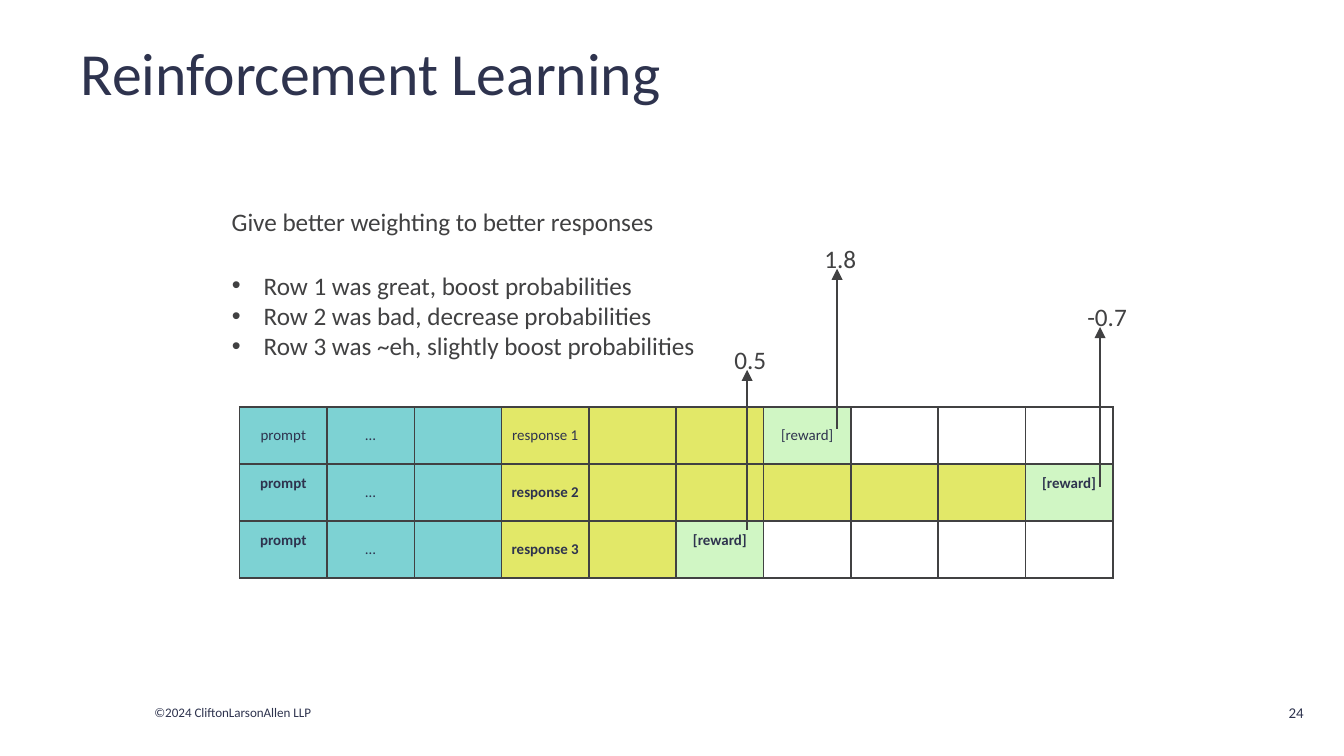
import pptx
import pptx.dml.color
import pptx.enum.dml
import pptx.enum.shapes
import pptx.enum.text
import pptx.oxml
import pptx.oxml.ns
import pptx.util

Cm = pptx.util.Cm
Pt = pptx.util.Pt
ALIGN = pptx.enum.text.PP_ALIGN
ANCHOR = pptx.enum.text.MSO_ANCHOR

FONT = "Calibri"
COLOURS = {
    "navy": "2E334E",
    "grey": "414142",
    "prompt": "7DD2D3",
    "response": "E2E868",
    "reward": "D0F6C4",
}
COLUMNS = 10
COLUMN_WIDTH, ROW_HEIGHT = 1.65, 1.08
PROMPT_CELLS = 3
ARROW_LENGTH = 3.02

# Number of response cells in each row, and whether its labels are bold
ROWS = [(3, False), (6, True), (2, True)]
# Score, arrow x, arrow tip y, label width
SCORES = [("0.5", 14.12, 6.99, 1.12), ("1.8", 15.82, 5.08, 1.12), ("-0.7", 20.79, 6.18, 1.27)]
ADVICE = [
    "Row 1 was great, boost probabilities",
    "Row 2 was bad, decrease probabilities",
    "Row 3 was ~eh, slightly boost probabilities",
]


def rgb(name):
    return pptx.dml.color.RGBColor.from_string(COLOURS[name])


def add_xml(parent, tag, **attributes):
    element = pptx.oxml.parse_xml(f"<a:{tag} {pptx.oxml.ns.nsdecls('a')}/>")
    for name, value in attributes.items():
        element.set(name, str(value))
    parent.append(element)
    return element


def write(frame, *lines, size=13.5, colour="grey", bold=False, align=ALIGN.LEFT,
          anchor=ANCHOR.TOP, wrap=False, bullet=None):
    """Fill a text frame with one paragraph per line, all in one format."""
    frame.word_wrap = wrap
    frame.vertical_anchor = anchor
    for number, line in enumerate(lines):
        paragraph = frame.paragraphs[0] if number == 0 else frame.add_paragraph()
        paragraph.alignment = align
        paragraph.space_before = Pt(0)
        if bullet:
            properties = paragraph._p.get_or_add_pPr()
            properties.set("marL", str(Cm(0.6)))
            properties.set("indent", str(-Cm(0.6)))
            add_xml(properties, "buFont", typeface="Arial")
            add_xml(properties, "buChar", char=bullet)
        if line:
            span = paragraph.add_run()
            span.text = line
            font = span.font
        else:
            font = paragraph.font
        font.name = FONT
        font.size = Pt(size)
        font.bold = bold
        font.color.rgb = rgb(colour)


def place(shape, left, top, width, height):
    shape.left, shape.top = Cm(left), Cm(top)
    shape.width, shape.height = Cm(width), Cm(height)


def add_text(page, text, left, top, width, height, **text_format):
    box = page.shapes.add_textbox(Cm(left), Cm(top), Cm(width), Cm(height))
    write(box.text_frame, text, **text_format)


def fill_placeholder(holder, position, *lines, **text_format):
    place(holder, *position)
    holder.text_frame.auto_size = pptx.enum.text.MSO_AUTO_SIZE.NONE
    write(holder.text_frame, *lines, **text_format)


def set_borders(cell):
    properties = cell._tc.get_or_add_tcPr()
    for position, side in enumerate(("lnL", "lnR", "lnT", "lnB")):
        border = add_xml(properties, side, w=Pt(1))
        add_xml(add_xml(border, "solidFill"), "srgbClr", val=COLOURS["grey"])
        properties.insert(position, border)


def format_cell(cell, text, fill, bold):
    cell.margin_left = cell.margin_right = Cm(0.18)
    cell.margin_top = cell.margin_bottom = Cm(0.1)
    if bold and text in ("prompt", "[reward]"):
        cell.margin_bottom = Cm(0.46)  # lifts the label to the first of two lines
    write(cell.text_frame, text, size=8, colour="navy", align=ALIGN.CENTER, wrap=True,
          bold=bold and text != "…")
    cell.vertical_anchor = ANCHOR.MIDDLE
    if fill:
        cell.fill.solid()
        cell.fill.fore_color.rgb = rgb(fill)
    else:
        cell.fill.background()
    set_borders(cell)


def add_sequences(page):
    """Table of token sequences: prompt, response, reward, then unused cells."""
    table = page.shapes.add_table(
        len(ROWS), COLUMNS, Cm(4.53), Cm(7.69),
        Cm(COLUMNS * COLUMN_WIDTH), Cm(len(ROWS) * ROW_HEIGHT)).table
    table.first_row = table.horz_banding = False
    for column in table.columns:
        column.width = Cm(COLUMN_WIDTH)
    for index, (responses, bold) in enumerate(ROWS):
        table.rows[index].height = Cm(ROW_HEIGHT)
        reward_at = PROMPT_CELLS + responses
        labels = {0: "prompt", 1: "…", PROMPT_CELLS: f"response {index + 1}",
                  reward_at: "[reward]"}
        fills = ["prompt"] * PROMPT_CELLS + ["response"] * responses + ["reward"]
        fills += [None] * (COLUMNS - len(fills))
        for column, fill in enumerate(fills):
            format_cell(table.cell(index, column), labels.get(column, ""), fill, bold)


def add_score(page, score, x, tip, width):
    """Arrow rising from a reward cell to its score."""
    arrow = page.shapes.add_connector(
        pptx.enum.shapes.MSO_CONNECTOR.STRAIGHT,
        Cm(x), Cm(tip + ARROW_LENGTH), Cm(x), Cm(tip))
    arrow.line.color.rgb = rgb("grey")
    arrow.line.width = Pt(0.75)
    add_xml(arrow.line._get_or_add_ln(), "tailEnd", type="triangle")
    add_xml(arrow._element.spPr, "effectLst")
    add_text(page, score, x - 0.49, tip - 0.61, width, 0.84)


def main():
    deck = pptx.Presentation()
    deck.slide_width, deck.slide_height = Cm(25.4), Cm(14.29)
    page = deck.slides.add_slide(deck.slide_layouts[1])

    fill_placeholder(page.shapes.title, (1.27, 0.41, 22.86, 1.9), "Reinforcement Learning",
                     size=32, colour="navy", anchor=ANCHOR.MIDDLE, wrap=True)
    add_sequences(page)
    for score in SCORES:
        add_score(page, *score)
    add_text(page, "Give better weighting to better responses", 4.13, 3.78, 8.64, 0.84)
    fill_placeholder(page.placeholders[1], (4.13, 4.98, 9.37, 1.98), *ADVICE, bullet="•")
    add_text(page, "©2024 CliftonLarsonAllen LLP", 2.67, 13.18, 3.84, 0.56,
             size=7, colour="navy", anchor=ANCHOR.MIDDLE)
    add_text(page, "24", 23.8, 12.98, 1.09, 0.97, size=8, colour="navy",
             align=ALIGN.RIGHT, anchor=ANCHOR.MIDDLE, wrap=True)
    deck.save("out.pptx")


if __name__ == "__main__":
    main()
